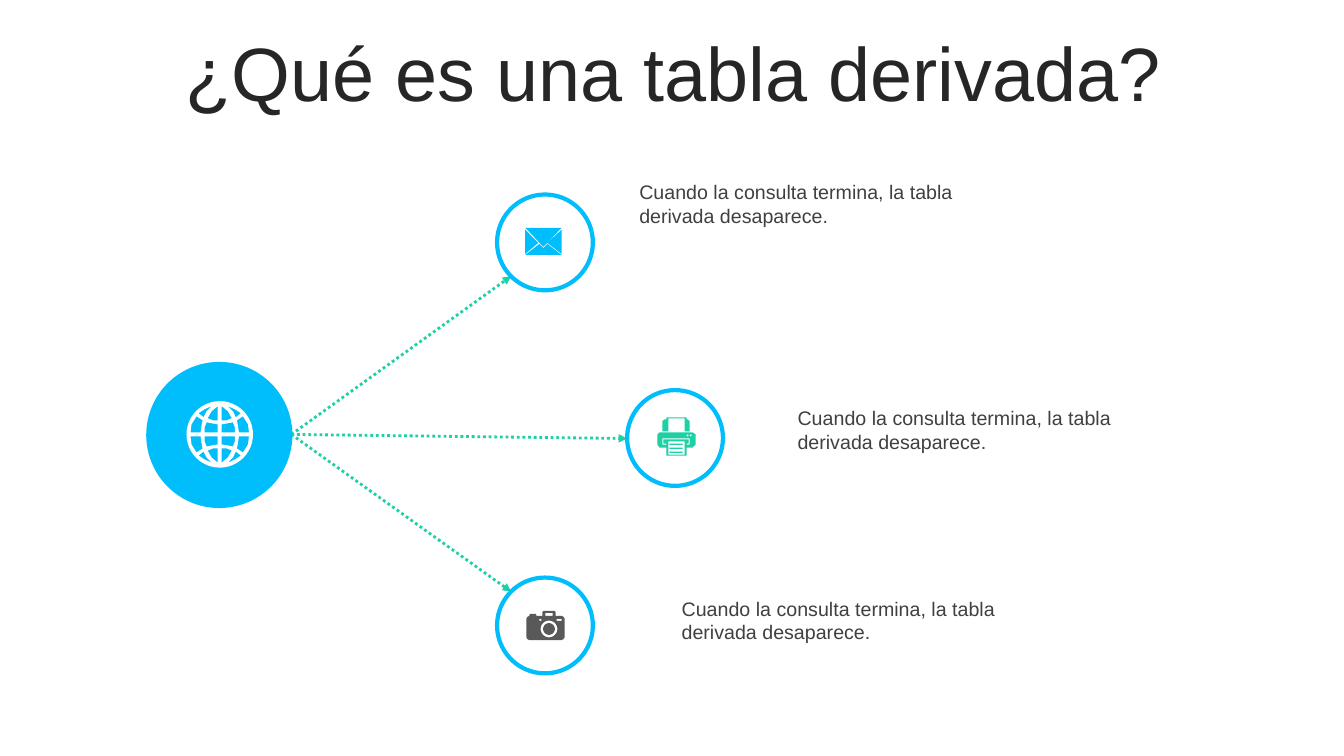
import math
from dataclasses import dataclass

import pptx
import pptx.dml.color
import pptx.enum.dml
import pptx.enum.shapes
import pptx.enum.text
import pptx.oxml
import pptx.oxml.ns
import pptx.util

EMU_PER_PX = 9144


@dataclass(frozen=True)
class Theme:
    font: str = "Arial"
    title_size: int = 54
    body_size: int = 14
    blue: str = "00BDFB"
    green: str = "1ED0A6"
    gray: str = "595959"
    white: str = "FFFFFF"
    title_color: str = "262626"
    body_color: str = "404040"


def px(value):
    return pptx.util.Emu(round(value * EMU_PER_PX))


def rgb(value):
    return pptx.dml.color.RGBColor.from_string(value)


def apply(target, values):
    for name, value in values.items():
        setattr(target, name, value)


def box(left, top, right, bottom):
    return [(left, top), (right, top), (right, bottom), (left, bottom)]


def circle(center_x, center_y, radius, steps=48):
    angles = [2 * math.pi * step / steps for step in range(steps)]
    return [(center_x + radius * math.cos(angle), center_y + radius * math.sin(angle))
            for angle in angles]


def globe(center_x, center_y):
    quadrant = [
        [(2, 2), (15, 2), (15, 7), (13, 12), (8, 11), (2, 10)],
        [(19, 2), (29, 2), (28, 10), (23, 18), (17, 14), (18, 9)],
        [(2, 14), (7, 14), (12, 16), (8, 23), (2, 28)],
        [(16, 17), (21, 21), (15, 25), (8, 28), (13, 23)],
    ]
    cells = [[(center_x + side * x, center_y + level * y) for x, y in cell]
             for side in (-1, 1) for level in (-1, 1) for cell in quadrant]
    return [circle(center_x, center_y, 33)] + cells


def envelope():
    return [
        [(543, 242), (557, 253), (521, 253), (535, 242), (539, 246)],
        [(557, 228), (557, 252), (543, 241)],
        [(521, 228), (534, 241), (521, 252)],
        [(521, 226), (557, 226), (539, 245)],
    ]


def printer():
    body = [(654, 429), (687, 429), (690, 431), (690, 441), (687, 444), (681, 444),
            (681, 452), (661, 452), (661, 444), (654, 444), (652, 441), (652, 431)]
    tray = [(657, 435), (657, 441), (661, 441), (661, 440), (658, 440), (658, 436),
            (683, 436), (683, 440), (681, 440), (681, 441), (684, 441), (684, 435)]
    feeder = [(661, 414), (681, 414), (681, 416), (682, 416), (684, 418), (684, 428),
              (679, 428), (679, 415), (663, 415), (663, 428), (657, 428), (657, 418),
              (659, 416), (661, 416)]
    text_lines = [box(664, top, 677, top + 1.3) for top in (440, 444, 448)]
    lights = [circle(center_x, 432, 1, 12) for center_x in (682, 685)]
    return [body, tray, feeder, box(663, 438, 679, 451)] + text_lines + lights


def camera():
    body = [(539, 606), (550, 606), (551, 607), (551, 611), (557, 611), (559, 612),
            (560, 614), (560, 632), (559, 634), (557, 635), (525, 635), (523, 634),
            (522, 632), (522, 614), (523, 612), (525, 611), (525, 610), (526, 609),
            (531, 609), (532, 610), (532, 611), (538, 611), (538, 607)]
    windows = [box(535, 614, 537, 616), box(552, 614, 557, 616), box(541, 608, 548, 611)]
    return [body, circle(544.5, 624, 8.3), circle(544.5, 624, 5.8)] + windows


class DiagramSlide:
    def __init__(self, presentation, theme):
        self.theme = theme
        self.slide = presentation.slides.add_slide(presentation.slide_layouts[5])
        self.shapes = self.slide.shapes

    def fill_text(self, shape, text, frame_format, paragraph_format, size, color):
        frame = shape.text_frame
        apply(frame, frame_format)
        paragraph = frame.paragraphs[0]
        paragraph.text = text
        apply(paragraph, paragraph_format)
        apply(paragraph.font, {"name": self.theme.font, "size": pptx.util.Pt(size)})
        paragraph.font.color.rgb = rgb(color)

    def title(self, text, left, top, width, height):
        shape = self.shapes.title
        apply(shape, {"left": px(left), "top": px(top),
                      "width": px(width), "height": px(height)})
        frame_format = {"word_wrap": True,
                        "auto_size": pptx.enum.text.MSO_AUTO_SIZE.NONE,
                        "vertical_anchor": pptx.enum.text.MSO_ANCHOR.MIDDLE}
        paragraph_format = {"alignment": pptx.enum.text.PP_ALIGN.CENTER,
                            "line_spacing": 0.9}
        self.fill_text(shape, text, frame_format, paragraph_format,
                       self.theme.title_size, self.theme.title_color)

    def note(self, text, left, top, width=395, height=128):
        shape = self.shapes.add_textbox(px(left), px(top), px(width), px(height))
        frame_format = {"word_wrap": True,
                        "auto_size": pptx.enum.text.MSO_AUTO_SIZE.SHAPE_TO_FIT_TEXT,
                        "margin_left": px(12), "margin_right": px(12),
                        "margin_top": px(5), "margin_bottom": px(5)}
        self.fill_text(shape, text, frame_format, {},
                       self.theme.body_size, self.theme.body_color)

    def paint(self, shape, fill, line=None):
        shape.shadow.inherit = False
        shape.fill.solid()
        shape.fill.fore_color.rgb = rgb(fill)
        if line:
            shape.line.color.rgb = rgb(line)
            shape.line.width = pptx.util.Pt(3)
        else:
            shape.line.fill.background()

    def disc(self, left, top, diameter, fill, line=None):
        shape = self.shapes.add_shape(pptx.enum.shapes.MSO_SHAPE.OVAL, px(left), px(top),
                                      px(diameter), px(diameter))
        self.paint(shape, fill, line)

    def icon(self, contours, color):
        outlines = [[(px(x), px(y)) for x, y in contour] for contour in contours]
        builder = self.shapes.build_freeform(*outlines[0][0])
        for index, outline in enumerate(outlines):
            if index:
                builder.move_to(*outline[0])
            builder.add_line_segments(outline[1:], close=True)
        self.paint(builder.convert_to_shape(), color)

    def arrow(self, start, end):
        connector = self.shapes.add_connector(
            pptx.enum.shapes.MSO_CONNECTOR.STRAIGHT,
            *(px(value) for value in (*start, *end)))
        connector.line.color.rgb = rgb(self.theme.green)
        apply(connector.line, {"width": pptx.util.Pt(2),
                               "dash_style": pptx.enum.dml.MSO_LINE.ROUND_DOT})
        arrowhead = pptx.oxml.parse_xml(
            f'<a:tailEnd {pptx.oxml.ns.nsdecls("a")} type="triangle"/>')
        connector.line._get_or_add_ln().append(arrowhead)
        effects = pptx.oxml.parse_xml(f'<a:effectLst {pptx.oxml.ns.nsdecls("a")}/>')
        connector._element.spPr.append(effects)


def main():
    presentation = pptx.Presentation()
    apply(presentation, {"slide_width": pptx.util.Inches(13.33),
                         "slide_height": pptx.util.Inches(7.5)})
    theme = Theme()
    diagram = DiagramSlide(presentation, theme)
    diagram.title("¿Qué es una tabla derivada?", 35, 37, 1266, 79)

    branches = [
        ((493, 193), (507, 274), (622, 174), envelope(), theme.blue),
        ((622, 387), (622, 435), (779, 398), printer(), theme.green),
        ((493, 573), (507, 587), (664, 587), camera(), theme.gray),
    ]
    for _, arrow_end, *_ in branches:
        diagram.arrow((289, 431), arrow_end)
    diagram.disc(145, 359, 145, theme.blue)
    diagram.icon(globe(218, 431), theme.white)
    for node, _, note, contours, color in branches:
        diagram.disc(*node, 95, theme.white, theme.blue)
        diagram.icon(contours, color)
        diagram.note("Cuando la consulta termina, la tabla derivada desaparece.", *note)

    presentation.save("out.pptx")


if __name__ == "__main__":
    main()
